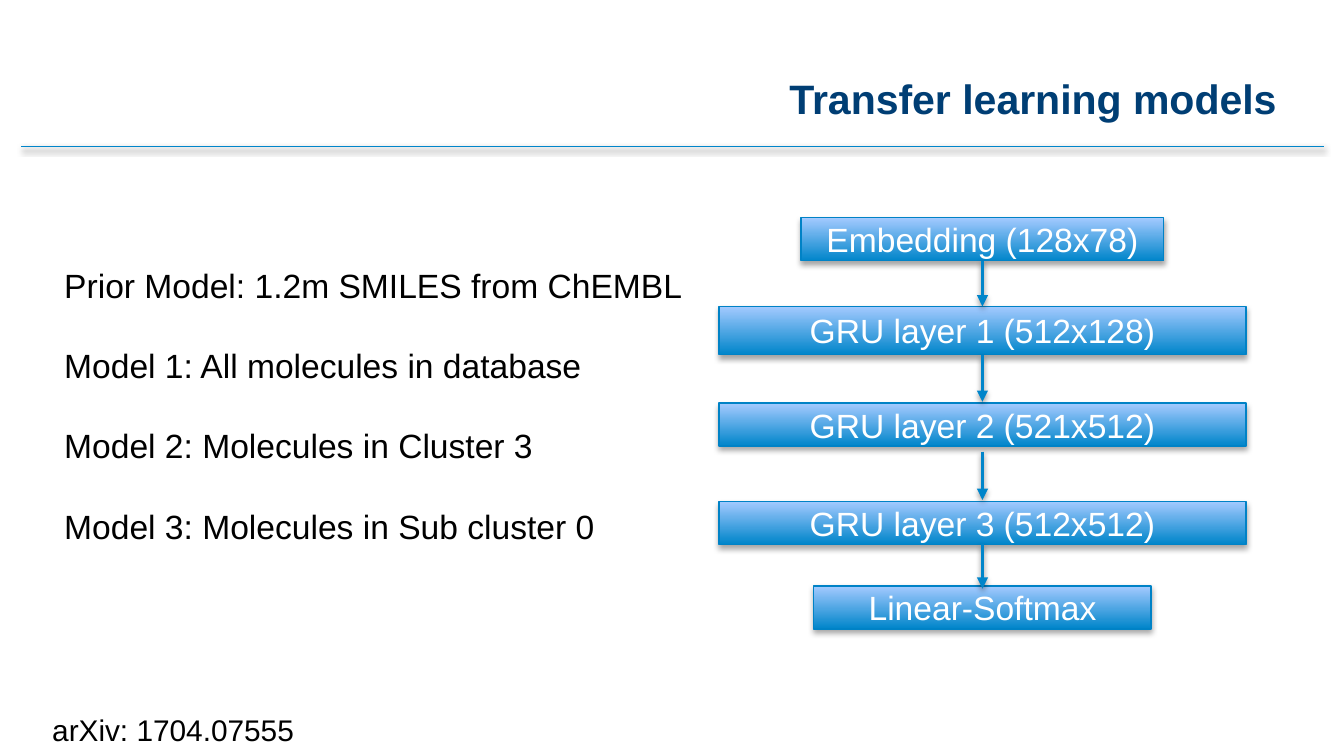
from dataclasses import dataclass

from lxml import etree
from pptx import Presentation
from pptx.dml.color import RGBColor
from pptx.enum import shapes, text
from pptx.oxml import ns
from pptx.util import Inches, Pt


@dataclass(frozen=True)
class Theme:
    font: str = "Arial"
    title: RGBColor = RGBColor(0x00, 0x3E, 0x74)
    body: RGBColor = RGBColor(0, 0, 0)
    on_block: RGBColor = RGBColor(0xFF, 0xFF, 0xFF)
    accent: RGBColor = RGBColor(0x00, 0x85, 0xCA)
    light: RGBColor = RGBColor(0xA4, 0xCA, 0xFF)
    outline: RGBColor = RGBColor(0x00, 0x82, 0xC6)
    title_size: int = 22
    body_size: int = 18
    source_size: int = 16


THEME = Theme()

# label, width, top within the diagram, height
LAYERS = [
    ("Embedding (128x78)", 2.7, 0, 0.32),
    ("GRU layer 1 (512x128)", 3.92, 0.66, 0.36),
    ("GRU layer 2 (521x512)", 3.92, 1.38, 0.32),
    ("GRU layer 3 (512x512)", 3.92, 2.11, 0.32),
    ("Linear-Softmax", 2.51, 2.74, 0.32),
]
# start and end of each arrow within the diagram
ARROWS = [(0.32, 0.66), (1.02, 1.37), (1.74, 2.1), (2.43, 2.76)]
MODELS = [
    "Prior Model: 1.2m SMILES from ChEMBL",
    "Model 1: All molecules in database",
    "Model 2: Molecules in Cluster 3",
    "Model 3: Molecules in Sub cluster 0",
]


def style(para, size, color, bold=False):
    font = para.font
    font.name, font.size, font.bold = THEME.font, Pt(size), bold
    font.color.rgb = color


def add_shadow(shape, alpha, distance):
    """Give a shape or connector a soft shadow straight below it."""
    properties = shape._element.spPr
    for old in properties.findall(ns.qn("a:effectLst")):
        properties.remove(old)
    effects = etree.SubElement(properties, ns.qn("a:effectLst"))
    shadow = etree.SubElement(
        effects, ns.qn("a:outerShdw"), blurRad=str(Pt(3.1)),
        dist=str(Pt(distance)), dir="5400000", rotWithShape="0")
    color = etree.SubElement(shadow, ns.qn("a:srgbClr"), val="000000")
    etree.SubElement(color, ns.qn("a:alpha"), val=str(alpha * 1000))


def add_line(parent, x1, y1, x2, y2, width, arrow=False):
    line = parent.shapes.add_connector(
        shapes.MSO_CONNECTOR.STRAIGHT, *map(Inches, (x1, y1, x2, y2)))
    line.line.color.rgb = THEME.accent
    line.line.width = Pt(width)
    if arrow:
        etree.SubElement(line.line._get_or_add_ln(), ns.qn("a:tailEnd"), type="triangle")
    add_shadow(line, 38, 1.6)


def add_text(page, box, lines, size, color, gap=0):
    frame = page.shapes.add_textbox(*map(Inches, box)).text_frame
    frame.word_wrap = False
    frame.text = "\n".join(lines)
    for index, para in enumerate(frame.paragraphs):
        style(para, size, color)
        if index:
            para.space_before = Pt(gap)
    return frame


def add_header(page, box):
    """Right-aligned title with a rule beneath it."""
    left, top, width, height = box
    frame = add_text(page, (left + 4.28, top, 5.06, 0.26),
                     ["Transfer learning models"], THEME.title_size, THEME.title)
    frame.word_wrap = True
    frame.margin_left = frame.margin_right = frame.margin_bottom = 0
    frame.margin_top = Inches(0.01)
    frame.paragraphs[0].alignment = text.PP_ALIGN.RIGHT
    frame.paragraphs[0].font.bold = True
    add_line(page, left, top + height, left + width, top + height, 1)


def add_layer(parent, box, label):
    block = parent.shapes.add_shape(
        shapes.MSO_SHAPE.RECTANGLE, *map(Inches, box))
    block.fill.gradient()
    block.fill.gradient_angle = 90
    for stop, color in zip(block.fill.gradient_stops, (THEME.accent, THEME.light)):
        stop.color.rgb = color
    block.line.color.rgb = THEME.outline
    block.line.width = Pt(0.75)
    add_shadow(block, 35, 1.8)
    frame = block.text_frame
    frame.vertical_anchor = text.MSO_ANCHOR.MIDDLE
    frame.text = label
    frame.paragraphs[0].alignment = text.PP_ALIGN.CENTER
    style(frame.paragraphs[0], THEME.body_size, THEME.on_block)


def add_network(page, box):
    """Stack of centred layers joined by arrows."""
    left, top, width, _ = box
    center = left + width / 2
    group = page.shapes.add_group_shape()
    for label, layer_width, offset, height in LAYERS:
        add_layer(group, (center - layer_width / 2, top + offset, layer_width, height), label)
    for start, end in ARROWS:
        add_line(group, center, top + start, center, top + end, 2, arrow=True)


def add_models(page, box):
    add_text(page, box, MODELS, THEME.body_size, THEME.body, gap=21.4)


def main():
    deck = Presentation()
    deck.slide_width = Inches(10)
    deck.slide_height = deck.slide_width * 9 // 16
    page = deck.slides.add_slide(deck.slide_layouts[6])
    add_header(page, (0.16, 0.54, 9.69, 0.55))
    add_network(page, (5.35, 1.62, 3.92, 3.06))
    add_models(page, (0.38, 1.92, 4.84, 2.22))
    add_text(page, (0.29, 5.25, 2.02, 0.37), ["arXiv: 1704.07555"],
             THEME.source_size, THEME.body)
    deck.save("out.pptx")


if __name__ == "__main__":
    main()
